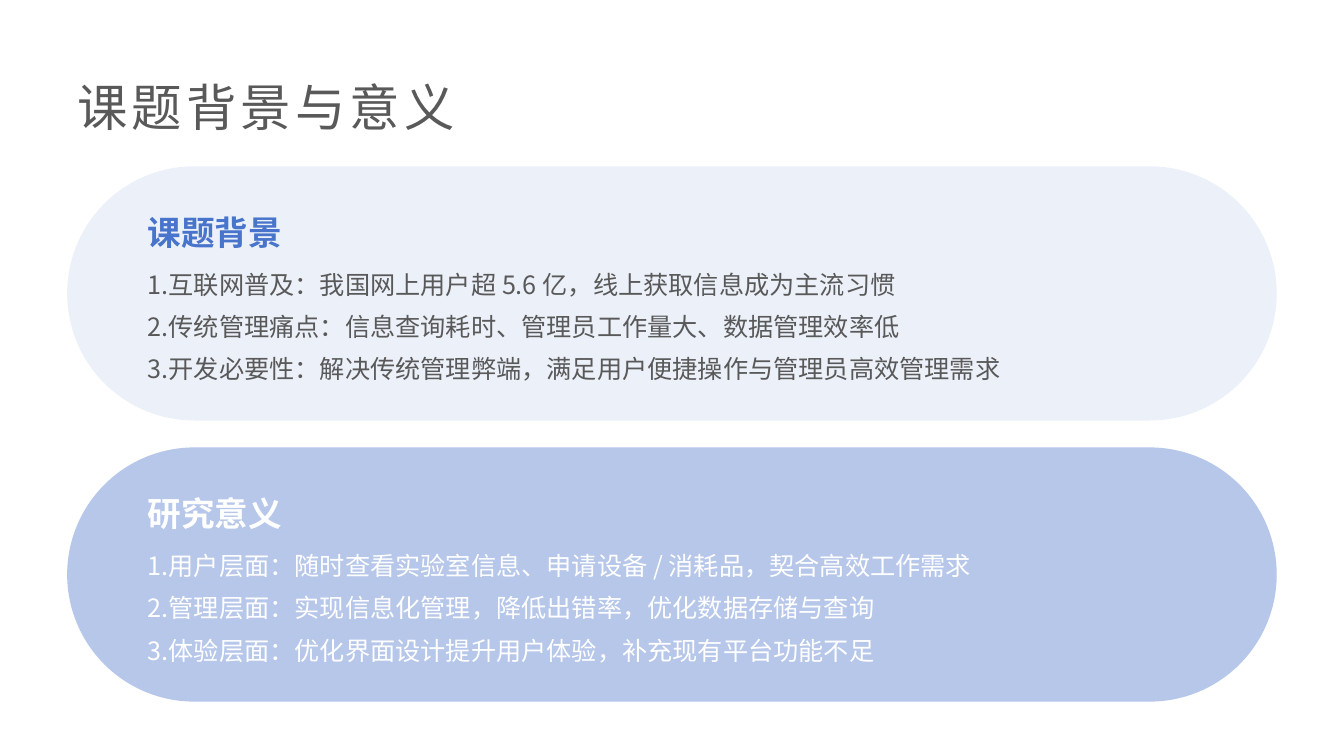
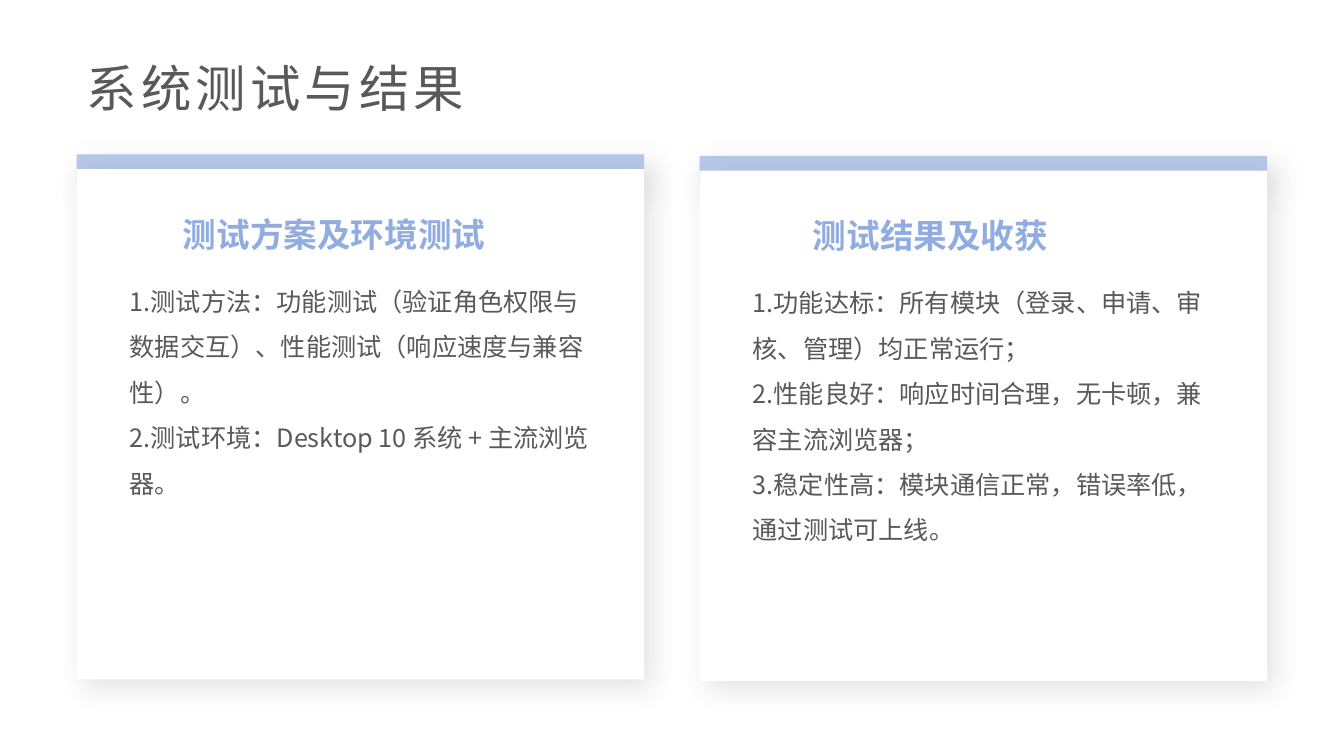
from dataclasses import dataclass

from lxml.etree import SubElement
from pptx import Presentation
from pptx.dml.color import RGBColor
from pptx.enum.lang import MSO_LANGUAGE_ID
from pptx.enum.shapes import MSO_SHAPE
from pptx.enum.text import MSO_ANCHOR, PP_ALIGN
from pptx.oxml.ns import qn
from pptx.util import Pt

CJK_FONT = "Noto Sans CJK SC"
GREY, BLUE, LIGHT_BLUE = "595959", "4874CB", "91ACE0"
PERIWINKLE, WHITE = "B6C7EA", "FFFFFF"


@dataclass
class Box:
    """A rectangle on the page, in points."""
    left: float
    top: float
    width: float
    height: float

    def inner(self, side, top, height):
        return Box(self.left + side, self.top + top, self.width - 2 * side, height)

    def lengths(self):
        return [Pt(value) for value in (self.left, self.top, self.width, self.height)]


def color(hex_text):
    return RGBColor.from_string(hex_text)


def add_opacity(color_element, percent):
    SubElement(color_element, qn("a:alpha")).set("val", str(percent * 1000))


def add_filled(page, kind, box, fill, opacity=100):
    shape = page.shapes.add_shape(kind, *box.lengths())
    shape.shadow.inherit = False
    shape.fill.solid()
    shape.fill.fore_color.rgb = color(fill)
    shape.line.fill.background()
    if opacity < 100:
        add_opacity(shape.fill._xPr.find(qn("a:solidFill"))[0], opacity)
    return shape


def add_soft_shadow(shape, shade, opacity):
    """Cast a blurred shadow down and to the right."""
    effects = shape._element.spPr.find(qn("a:effectLst"))
    outer = SubElement(effects, qn("a:outerShdw"))
    settings = {"blurRad": Pt(20), "dist": Pt(8), "dir": 45 * 60000, "algn": "tl", "rotWithShape": 0}
    for name, value in settings.items():
        outer.set(name, str(value))
    shade_element = SubElement(outer, qn("a:srgbClr"))
    shade_element.set("val", shade)
    add_opacity(shade_element, opacity)


def add_text(page, box, lines, size, text_color, latin=CJK_FONT, bold=False,
             anchor=MSO_ANCHOR.TOP, align=PP_ALIGN.LEFT, line_spacing=1.0,
             indent=0, tracking=0, margins=(0, 0)):
    frame = page.shapes.add_textbox(*box.lengths()).text_frame
    frame.word_wrap = True
    frame.vertical_anchor = anchor
    frame.margin_left = frame.margin_right = Pt(margins[0])
    frame.margin_top = frame.margin_bottom = Pt(margins[1])
    frame.text = "\n".join(lines)
    for para in frame.paragraphs:
        para.alignment = align
        para.line_spacing = line_spacing
        if indent:
            para._p.get_or_add_pPr().set("marL", str(Pt(indent)))
        for span in para.runs:
            font = span.font
            font.size, font.bold, font.name = Pt(size), bold, latin
            font.color.rgb = color(text_color)
            font.language_id = MSO_LANGUAGE_ID.SIMPLIFIED_CHINESE
            properties = span._r.get_or_add_rPr()
            SubElement(properties, qn("a:ea")).set("typeface", CJK_FONT)
            if tracking:
                properties.set("spc", str(tracking * 100))


def add_title(page, box, text):
    add_text(page, box, [text], 36, GREY, latin="Arial", anchor=MSO_ANCHOR.MIDDLE,
             tracking=3, margins=(7.2, 3.6))


def add_heading(page, box, text, text_color, indent=0):
    add_text(page, box, [text], 24, text_color, bold=True,
             anchor=MSO_ANCHOR.BOTTOM, indent=indent)


def add_pill(page, box, heading, lines, heading_color, text_color, opacity):
    pill = add_filled(page, MSO_SHAPE.ROUNDED_RECTANGLE, box, PERIWINKLE, opacity)
    pill.adjustments[0] = 0.5
    add_text(page, box.inner(57.6, 64.8, 93), lines, 18, text_color,
             align=PP_ALIGN.JUSTIFY, line_spacing=1.4)
    add_heading(page, box.inner(57.6, 24.3, 36.7), heading, heading_color)


def add_card(page, box, heading, lines, heading_indent):
    band_height = 10.5
    band = add_filled(page, MSO_SHAPE.RECTANGLE, box.inner(0, 0, 19.4), PERIWINKLE)
    add_soft_shadow(band, "BFBFBF", 40)
    panel_box = box.inner(0, band_height, box.height - band_height)
    panel = add_filled(page, MSO_SHAPE.RECTANGLE, panel_box, WHITE)
    add_soft_shadow(panel, "404040", 15)
    add_text(page, box.inner(38, 83.5, 274), lines, 18, GREY, line_spacing=1.5)
    add_heading(page, box.inner(38, 34.3, 36.7), heading, LIGHT_BLUE, heading_indent)


def add_background_page(page):
    add_title(page, Box(48, 48.2, 864, 55.4), "课题背景与意义")
    pills = [
        ("课题背景", [
            "1.互联网普及：我国网上用户超 5.6 亿，线上获取信息成为主流习惯",
            "2.传统管理痛点：信息查询耗时、管理员工作量大、数据管理效率低",
            "3.开发必要性：解决传统管理弊端，满足用户便捷操作与管理员高效管理需求",
        ], BLUE, GREY, 25),
        ("研究意义", [
            "1.用户层面：随时查看实验室信息、申请设备 / 消耗品，契合高效工作需求",
            "2.管理层面：实现信息化管理，降低出错率，优化数据存储与查询",
            "3.体验层面：优化界面设计提升用户体验，补充现有平台功能不足",
        ], WHITE, WHITE, 100),
    ]
    height, gap = 181.6, 19.2
    for row, content in enumerate(pills):
        add_pill(page, Box(48, 118.8 + row * (height + gap), 864, height), *content)


def add_testing_page(page):
    add_title(page, Box(54.7, 31, 850.3, 62.6), "系统测试与结果")
    cards = [
        ("测试方案及环境测试", [
            "1.测试方法：功能测试（验证角色权限与数据交互）、性能测试（响应速度与兼容性）。",
            "2.测试环境：Desktop 10 系统 + 主流浏览器。",
        ], 38),
        ("测试结果及收获", [
            "1.功能达标：所有模块（登录、申请、审核、管理）均正常运行；",
            "2.性能良好：响应时间合理，无卡顿，兼容主流浏览器；",
            "3.稳定性高：模块通信正常，错误率低，通过测试可上线。",
        ], 43),
    ]
    width, gap, step_down = 405.4, 39.6, 1
    for column, content in enumerate(cards):
        box = Box(54.7 + column * (width + gap), 110.3 + column * step_down, width, 375)
        add_card(page, box, *content)


def main():
    deck = Presentation()
    deck.slide_width, deck.slide_height = Pt(960), Pt(540)
    for fill_page in (add_background_page, add_testing_page):
        fill_page(deck.slides.add_slide(deck.slide_layouts[6]))
    deck.save("out.pptx")


if __name__ == "__main__":
    main()
